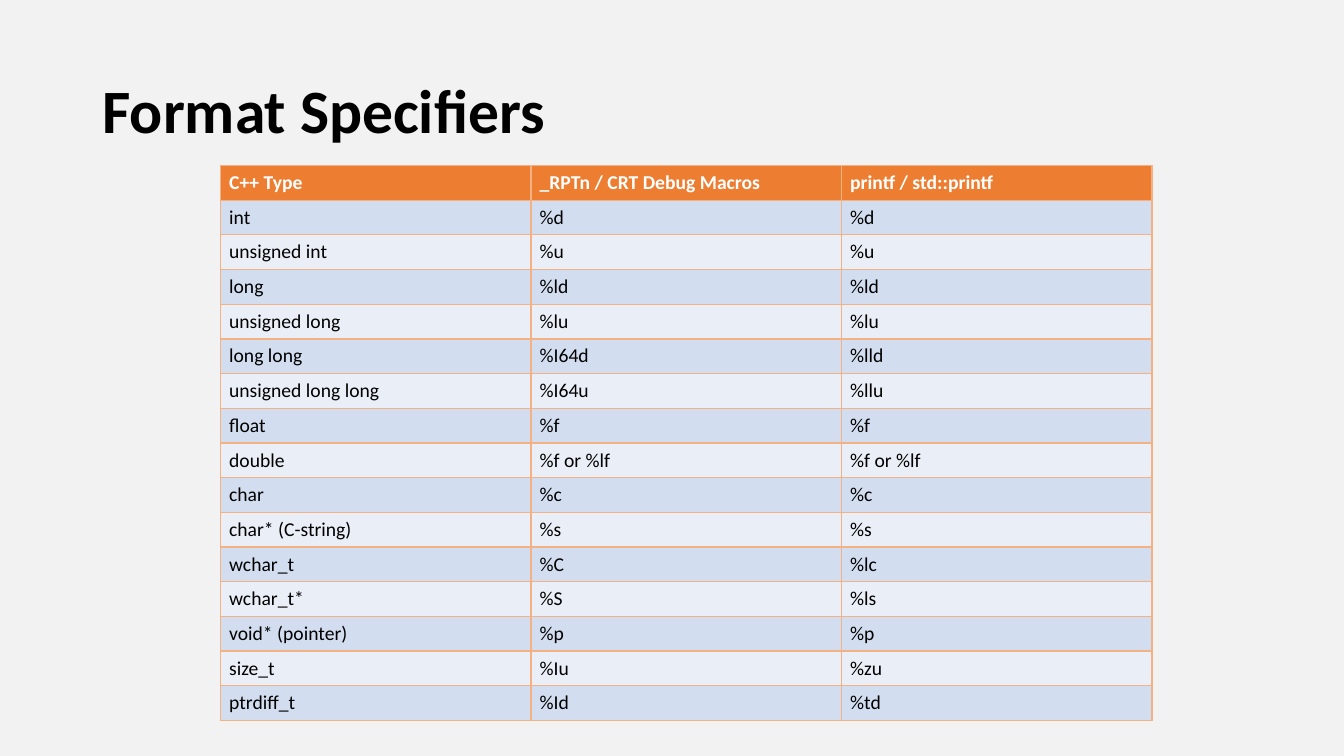
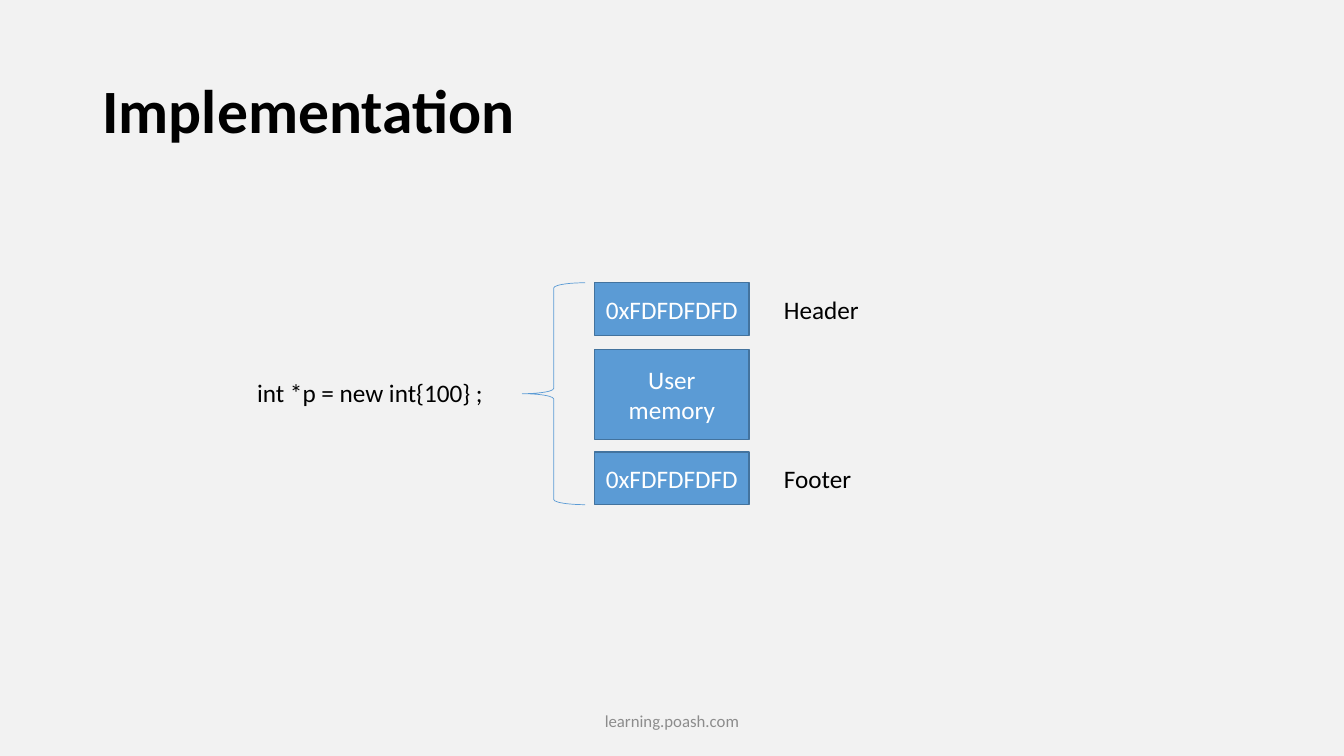
from dataclasses import dataclass
from typing import NamedTuple

from pptx import Presentation
from pptx.dml.color import RGBColor as RGB
from pptx.enum.shapes import MSO_SHAPE as Shape
from pptx.enum.text import MSO_ANCHOR as Anchor, MSO_AUTO_SIZE as AutoSize, PP_ALIGN as Align
from pptx.oxml import parse_xml
from pptx.oxml.ns import nsdecls
from pptx.util import Pt


@dataclass(frozen=True)
class Theme:
    font: str = "Calibri"
    background: str = "F2F2F2"
    text: str = "000000"
    white: str = "FFFFFF"
    footer: str = "8C8C8C"
    header_fill: str = "ED7D31"
    border: str = "F4B183"
    bands: tuple[str, str] = ("D2DEEF", "EAEFF7")
    block_fill: str = "5B9BD5"
    block_line: str = "43739E"
    title_size: float = 44
    body_size: float = 18
    table_size: float = 14
    footer_size: float = 12


class Box(NamedTuple):
    left: float
    top: float
    width: float
    height: float

    def pts(self) -> list[Pt]:
        return [Pt(v) for v in self]


class Block(NamedTuple):
    text: str
    top: float
    height: float


class Label(NamedTuple):
    text: str
    box: Box


THEME = Theme()
TITLE_BOX = Box(66, 28.8, 828, 104.4)
FOOTER_BOX = Box(318, 500.4, 324, 28.8)
TABLE_LEFT, TABLE_TOP = 157.5, 118.2
COLUMN_WIDTH, ROW_HEIGHT = 221.8, 24.8
BLOCK_LEFT, BLOCK_WIDTH = 424.8, 110.2
BRACE_BOX = Box(373, 202, 45, 158.5)

SPECIFIERS = [
    ("C++ Type", "_RPTn / CRT Debug Macros", "printf / std::printf"),
    ("int", "%d", "%d"),
    ("unsigned int", "%u", "%u"),
    ("long", "%ld", "%ld"),
    ("unsigned long", "%lu", "%lu"),
    ("long long", "%I64d", "%lld"),
    ("unsigned long long", "%I64u", "%llu"),
    ("float", "%f", "%f"),
    ("double", "%f or %lf", "%f or %lf"),
    ("char", "%c", "%c"),
    ("char* (C-string)", "%s", "%s"),
    ("wchar_t", "%C", "%lc"),
    ("wchar_t*", "%S", "%ls"),
    ("void* (pointer)", "%p", "%p"),
    ("size_t", "%Iu", "%zu"),
    ("ptrdiff_t", "%Id", "%td"),
]

BLOCKS = [
    Block("0xFDFDFDFD", 202, 37.6),
    Block("User memory", 249.8, 64),
    Block("0xFDFDFDFD", 322.8, 37.6),
]

LABELS = [
    Label("int *p = new int{100} ;", Box(176.6, 266.2, 177.8, 29)),
    Label("Header", Box(552.8, 206.4, 68.4, 29)),
    Label("Footer", Box(552.8, 327.4, 63.4, 29)),
]


def set_font(font, size: float, color: str, bold: bool = False) -> None:
    font.size = Pt(size)
    font.bold = bold
    font.color.rgb = RGB.from_string(color)
    font.name = THEME.font


def write(tf, text: str, size: float, color: str, bold: bool = False, align: Align = Align.LEFT):
    p = tf.paragraphs[0]
    p.text = text
    p.alignment = align
    set_font(p.font, size, color, bold)
    return p


def add_text_box(slide, box: Box, wrap: bool = True):
    tf = slide.shapes.add_textbox(*box.pts()).text_frame
    tf.word_wrap = wrap
    return tf


def add_titled_slide(prs, title: str):
    slide = prs.slides.add_slide(prs.slide_layouts[5])
    sp = slide.shapes.title
    sp.left, sp.top, sp.width, sp.height = TITLE_BOX.pts()
    tf = sp.text_frame
    tf.vertical_anchor = Anchor.MIDDLE
    write(tf, title, THEME.title_size, THEME.text, True).line_spacing = 0.9
    return slide


def set_borders(cell) -> None:
    tc_pr = cell._tc.get_or_add_tcPr()
    for i, side in enumerate("LRTB"):
        tc_pr.insert(i, parse_xml(
            f'<a:ln{side} {nsdecls("a")} w="{Pt(1)}"><a:solidFill>'
            f'<a:srgbClr val="{THEME.border}"/></a:solidFill></a:ln{side}>'
        ))


def add_table(slide, rows: list[tuple[str, ...]]) -> None:
    n_rows, n_cols = len(rows), len(rows[0])
    box = Box(TABLE_LEFT, TABLE_TOP, n_cols * COLUMN_WIDTH, n_rows * ROW_HEIGHT)
    table = slide.shapes.add_table(n_rows, n_cols, *box.pts()).table
    for column in table.columns:
        column.width = Pt(COLUMN_WIDTH)
    for i, values in enumerate(rows):
        table.rows[i].height = Pt(ROW_HEIGHT)
        header = i == 0
        fill = THEME.header_fill if header else THEME.bands[(i - 1) % 2]
        color = THEME.white if header else THEME.text
        for j, value in enumerate(values):
            cell = table.cell(i, j)
            cell.fill.solid()
            cell.fill.fore_color.rgb = RGB.from_string(fill)
            cell.vertical_anchor = Anchor.MIDDLE
            cell.margin_left = cell.margin_right = Pt(6.2)
            cell.margin_top = cell.margin_bottom = Pt(3)
            set_borders(cell)
            write(cell.text_frame, value, THEME.table_size, color, header)


def add_block(slide, block: Block) -> None:
    box = Box(BLOCK_LEFT, block.top, BLOCK_WIDTH, block.height)
    sp = slide.shapes.add_shape(Shape.RECTANGLE, *box.pts())
    sp.shadow.inherit = False
    sp.fill.solid()
    sp.fill.fore_color.rgb = RGB.from_string(THEME.block_fill)
    sp.line.color.rgb = RGB.from_string(THEME.block_line)
    sp.line.width = Pt(1)
    tf = sp.text_frame
    tf.word_wrap = True
    tf.vertical_anchor = Anchor.MIDDLE
    write(tf, block.text, THEME.body_size, THEME.white, align=Align.CENTER)


def add_brace(slide) -> None:
    sp = slide.shapes.add_shape(Shape.LEFT_BRACE, *BRACE_BOX.pts())
    sp.shadow.inherit = False
    sp.fill.background()
    sp.line.color.rgb = RGB.from_string(THEME.block_fill)
    sp.line.width = Pt(0.5)


def add_label(slide, label: Label) -> None:
    tf = add_text_box(slide, label.box, wrap=False)
    tf.auto_size = AutoSize.SHAPE_TO_FIT_TEXT
    write(tf, label.text, THEME.body_size, THEME.text)


def add_footer(slide, text: str) -> None:
    tf = add_text_box(slide, FOOTER_BOX)
    tf.vertical_anchor = Anchor.MIDDLE
    write(tf, text, THEME.footer_size, THEME.footer, align=Align.CENTER)


def main() -> None:
    prs = Presentation()
    prs.slide_width, prs.slide_height = Pt(960), Pt(540)
    background = prs.slide_master.background.fill
    background.solid()
    background.fore_color.rgb = RGB.from_string(THEME.background)

    add_table(add_titled_slide(prs, "Format Specifiers"), SPECIFIERS)

    slide = add_titled_slide(prs, "Implementation")
    for block in BLOCKS:
        add_block(slide, block)
    add_brace(slide)
    for label in LABELS:
        add_label(slide, label)
    add_footer(slide, "learning.poash.com")

    prs.save("out.pptx")


if __name__ == "__main__":
    main()
